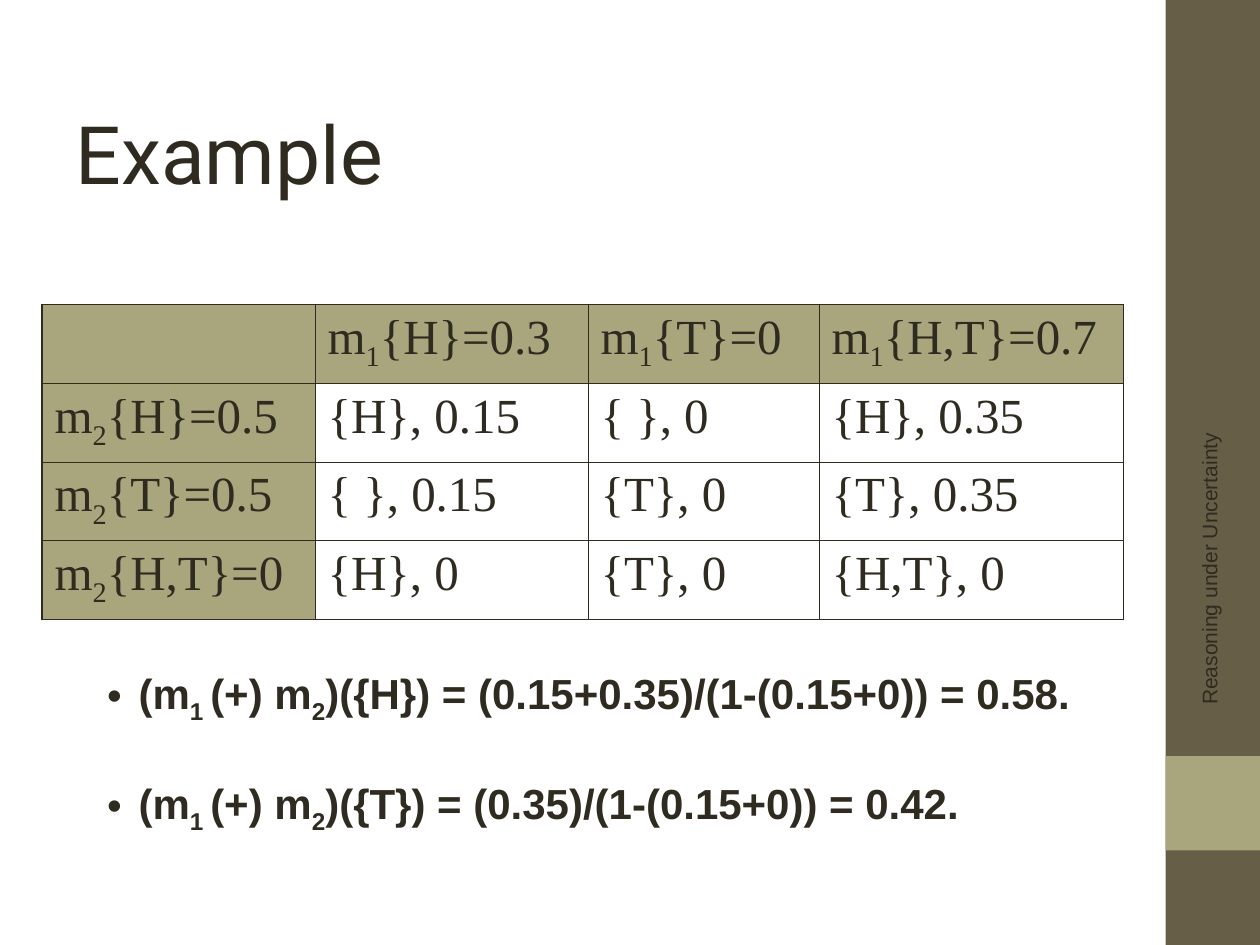
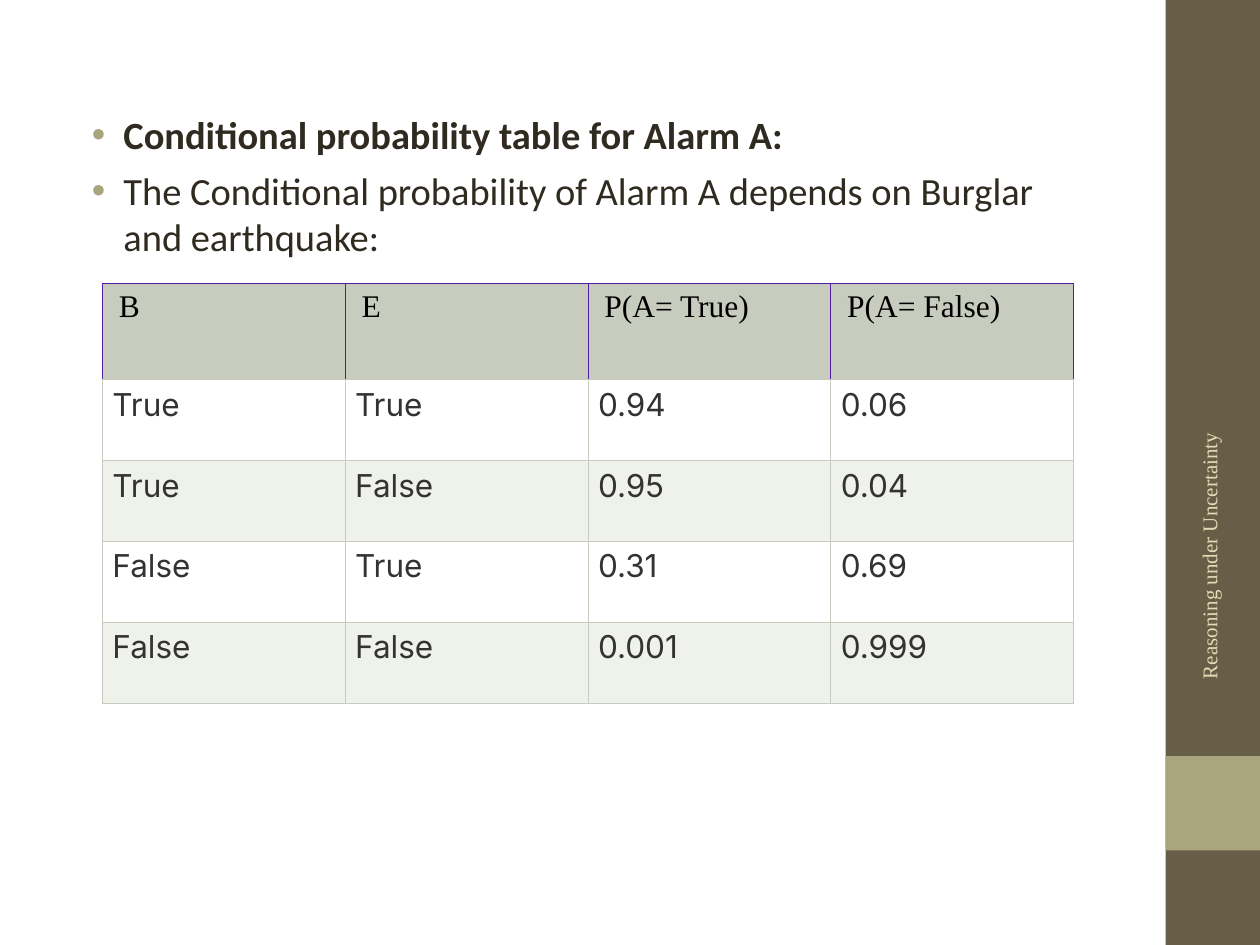
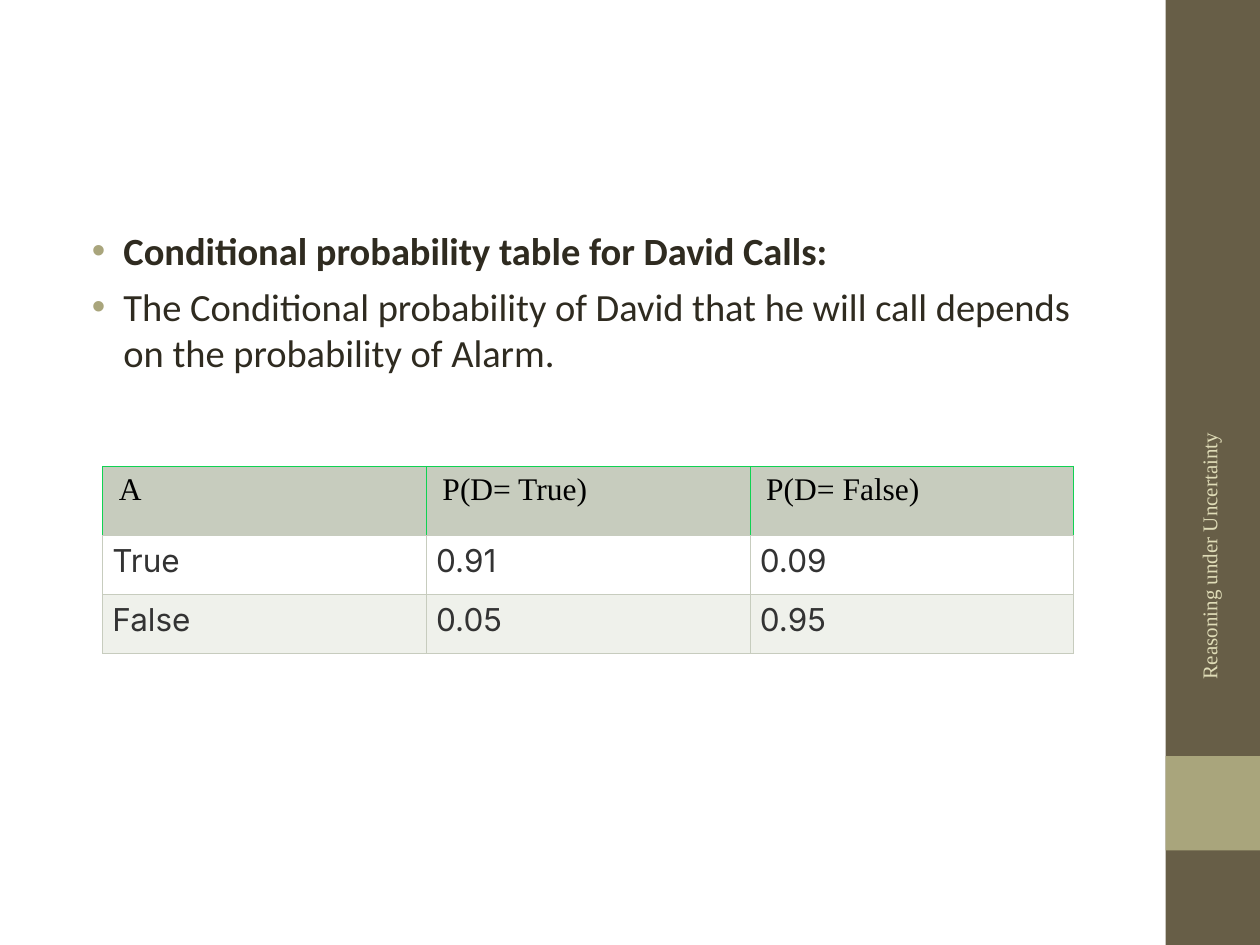
from dataclasses import dataclass

from lxml import etree
from pptx import Presentation
from pptx.dml.color import RGBColor
from pptx.enum.shapes import MSO_SHAPE
from pptx.enum.text import MSO_ANCHOR, MSO_AUTO_SIZE, PP_ALIGN
from pptx.oxml.ns import qn
from pptx.util import Inches, Pt

RECT = MSO_SHAPE.RECTANGLE
TOP, MIDDLE = MSO_ANCHOR.TOP, MSO_ANCHOR.MIDDLE
FIXED = MSO_AUTO_SIZE.NONE
LEFT, RIGHT, JUSTIFY = PP_ALIGN.LEFT, PP_ALIGN.RIGHT, PP_ALIGN.JUSTIFY

WIDE, HIGH = 120, 90  # the slide's grid: twelve units to the inch
UNIT = Inches(10) // WIDE


@dataclass(frozen=True)
class Theme:
    ink: str = "2F2B20"
    band: str = "675E47"
    accent: str = "A9A57C"
    pale: str = "DFDCB7"
    head: str = "C7CCBE"
    tint: str = "EFF1EB"
    white: str = "FFFFFF"
    black: str = "000000"
    grey: str = "333333"
    violet: str = "501EA2"
    green: str = "10D252"
    title: int = 46
    mass: int = 28
    sums: int = 24
    body: int = 22
    cell: int = 18
    foot: int = 12
    sans: str = "Arial"
    serif: str = "Times New Roman"
    text: str = "Calibri"
    data: str = "Inter"
    show: str = "Roboto"


T = Theme()


def span(units):
    return round(units * UNIT)


def place(shape, box):
    shape.left, shape.top, shape.width, shape.height = map(span, box)


def add_bullet(para, color, indent):
    props = para._p.get_or_add_pPr()
    props.set("marL", str(Inches(indent)))
    props.set("indent", str(-Inches(0.25)))
    tint = etree.SubElement(props, qn("a:buClr"))
    etree.SubElement(tint, qn("a:srgbClr")).set("val", color)
    etree.SubElement(props, qn("a:buFont")).set("typeface", T.sans)
    etree.SubElement(props, qn("a:buChar")).set("char", "•")


def write(frame, lines, size, font, color=T.ink, bold=0, align=LEFT,
          gap=0, bullet=None, indent=0.25):
    """Fill a frame; every second part between bars is a subscript.

    The first `bold` lines are bold; `gap` is the space between lines.
    """
    frame.word_wrap = True
    for row, line in enumerate(lines):
        para = frame.add_paragraph() if row else frame.paragraphs[0]
        para.alignment = align
        para.space_before = Pt(gap if row else 0)
        para.font.size = Pt(size)
        if bullet:
            add_bullet(para, bullet, indent)
        for part, words in enumerate(line.split("|")):
            run = para.add_run()
            run.text = words
            run.font.size, run.font.name = Pt(size), font
            run.font.bold = row < bold
            run.font.color.rgb = RGBColor.from_string(color)
            if part % 2:
                run._r.get_or_add_rPr().set("baseline", "-25000")


def fill_holder(holder, box, lines, anchor=TOP, **style):
    place(holder, box)
    frame = holder.text_frame
    frame.auto_size, frame.vertical_anchor = FIXED, anchor
    write(frame, lines, **style)


def add_bands(deck, slide):
    """Draw the side bands and move them to the master."""
    tree = deck.slide_master.shapes.element
    bands = (((111, 0, 9, HIGH), T.band), ((111, 72, 9, 9), T.accent))
    for rank, (box, color) in enumerate(bands):
        band = slide.shapes.add_shape(RECT, *map(span, box))
        band.shadow.inherit = False
        band.fill.solid()
        band.fill.fore_color.rgb = RGBColor.from_string(color)
        band.line.fill.background()
        tree.insert(2 + rank, band.element)


def add_footer(slide, **style):
    note = slide.shapes.add_textbox(*map(span, (99.6, 53.2, 31.1, 4.8)))
    note.rotation = 270
    note.text_frame.vertical_anchor = MIDDLE
    write(note.text_frame, ["Reasoning under Uncertainty"], size=T.foot,
          align=RIGHT, **style)


def set_borders(cell, sides):
    """Draw (color, points) for the left, right, top and bottom sides."""
    props = cell._tc.get_or_add_tcPr()
    for tag, (color, width) in zip(("lnL", "lnR", "lnT", "lnB"), sides):
        line = etree.SubElement(props, qn("a:" + tag))
        line.set("w", str(Pt(width)))
        fill = etree.SubElement(line, qn("a:solidFill"))
        etree.SubElement(fill, qn("a:srgbClr")).set("val", color)


def set_cell(cell, words, sides, fill, inset, **style):
    set_borders(cell, sides)
    if fill:
        cell.fill.solid()
        cell.fill.fore_color.rgb = RGBColor.from_string(fill)
    else:
        cell.fill.background()
    cell.margin_left = cell.margin_right = Inches(inset)
    cell.margin_top = cell.margin_bottom = Inches(0.05)
    write(cell.text_frame, [words], **style)


def add_grid(slide, spot, cols, rows, data, look):
    """Add a table; look(row, col) gives the format of each cell."""
    frame = slide.shapes.add_table(
        len(rows), len(cols), *map(span, (*spot, sum(cols), sum(rows))))
    table = frame.table
    table.first_row = table.horz_banding = False
    for col, width in zip(table.columns, cols):
        col.width = span(width)
    for row, height in zip(table.rows, rows):
        row.height = span(height)
    for row, line in enumerate(data):
        for col, words in enumerate(line):
            set_cell(table.cell(row, col), words, **look(row, col))


def add_masses(slide, data):
    last = len(data) - 1

    def look(row, col):
        edges = (col == 0, col == last, row == 0, row == last)
        return dict(sides=[(T.ink, 1.08 if edge else 0.45) for edge in edges],
                    fill=None if row and col else T.accent,
                    inset=0.1, size=T.mass, font=T.serif)

    add_grid(slide, (4, 29), (26, 26, 22, 29), [7.5] * len(data), data, look)


def add_odds(slide, top, head, step, line, data):
    """Add a probability table with a tall head row and striped rows."""
    def look(row, col):
        plain = (T.head, 0.34)
        if row == 0:
            return dict(sides=[(line, 0.34)] * 3 + [plain], fill=T.head,
                        inset=0.13, size=T.cell, font=T.serif, color=T.black)
        return dict(sides=[plain] * 4, fill=T.white if row % 2 else T.tint,
                    inset=0.08, size=T.cell, font=T.data, color=T.grey,
                    align=JUSTIFY)

    count = len(data[0])
    rows = [head] + [step] * (len(data) - 1)
    add_grid(slide, (9.75, top), [92.5 / count] * count, rows, data, look)


def new_slide(deck):
    return deck.slides.add_slide(deck.slide_layouts[1])


def odds_slide(deck, start, lines, **table):
    """Add a list from row `start` and a probability table."""
    slide = new_slide(deck)
    title, body = slide.placeholders
    title.element.getparent().remove(title.element)
    fill_holder(body, (6, start, 100, 84 - start), lines, size=T.body,
                font=T.text, bold=1, gap=5.5, bullet=T.accent, indent=0.38)
    add_footer(slide, font=T.serif, color=T.pale)
    add_odds(slide, **table)


def mass_slide(deck):
    slide = new_slide(deck)
    add_bands(deck, slide)
    title, body = slide.placeholders
    fill_holder(title, (6, 7, 108, 15), ["Example"], anchor=MIDDLE,
                size=T.title, font=T.show)
    add_masses(slide, [
        ("", "m|1|{H}=0.3", "m|1|{T}=0", "m|1|{H,T}=0.7"),
        ("m|2|{H}=0.5", "{H}, 0.15", "{ }, 0", "{H}, 0.35"),
        ("m|2|{T}=0.5", "{ }, 0.15", "{T}, 0", "{T}, 0.35"),
        ("m|2|{H,T}=0", "{H}, 0", "{T}, 0", "{H,T}, 0"),
    ])
    add_footer(slide, font=T.sans)
    sums = ["({H}) = (0.15+0.35)/(1-(0.15+0)) = 0.58.",
            "({T}) = (0.35)/(1-(0.15+0)) = 0.42."]
    fill_holder(body, (9, 63, 103, 17), ["(m|1 |(+) m|2|)" + part for part in sums],
                size=T.sums, font=T.sans, bold=len(sums), gap=30, bullet=T.ink)


def main():
    deck = Presentation()
    deck.slide_width, deck.slide_height = span(WIDE), span(HIGH)
    mass_slide(deck)
    odds_slide(
        deck, 10,
        ["Conditional probability table for Alarm A:",
         "The Conditional probability of Alarm A depends on Burglar and earthquake:"],
        top=27, head=9.15, step=7.7, line=T.violet,
        data=[("B", "E", "P(A= True)", "P(A= False)"),
              ("True", "True", "0.94", "0.06"),
              ("True", "False", "0.95", "0.04"),
              ("False", "True", "0.31", "0.69"),
              ("False", "False", "0.001", "0.999")])
    odds_slide(
        deck, 21,
        ["Conditional probability table for David Calls:",
         "The Conditional probability of David that he will call depends "
         "on the probability of Alarm."],
        top=44.4, head=6.6, step=5.6, line=T.green,
        data=[("A", "P(D= True)", "P(D= False)"),
              ("True", "0.91", "0.09"),
              ("False", "0.05", "0.95")])
    deck.save("out.pptx")


if __name__ == "__main__":
    main()
